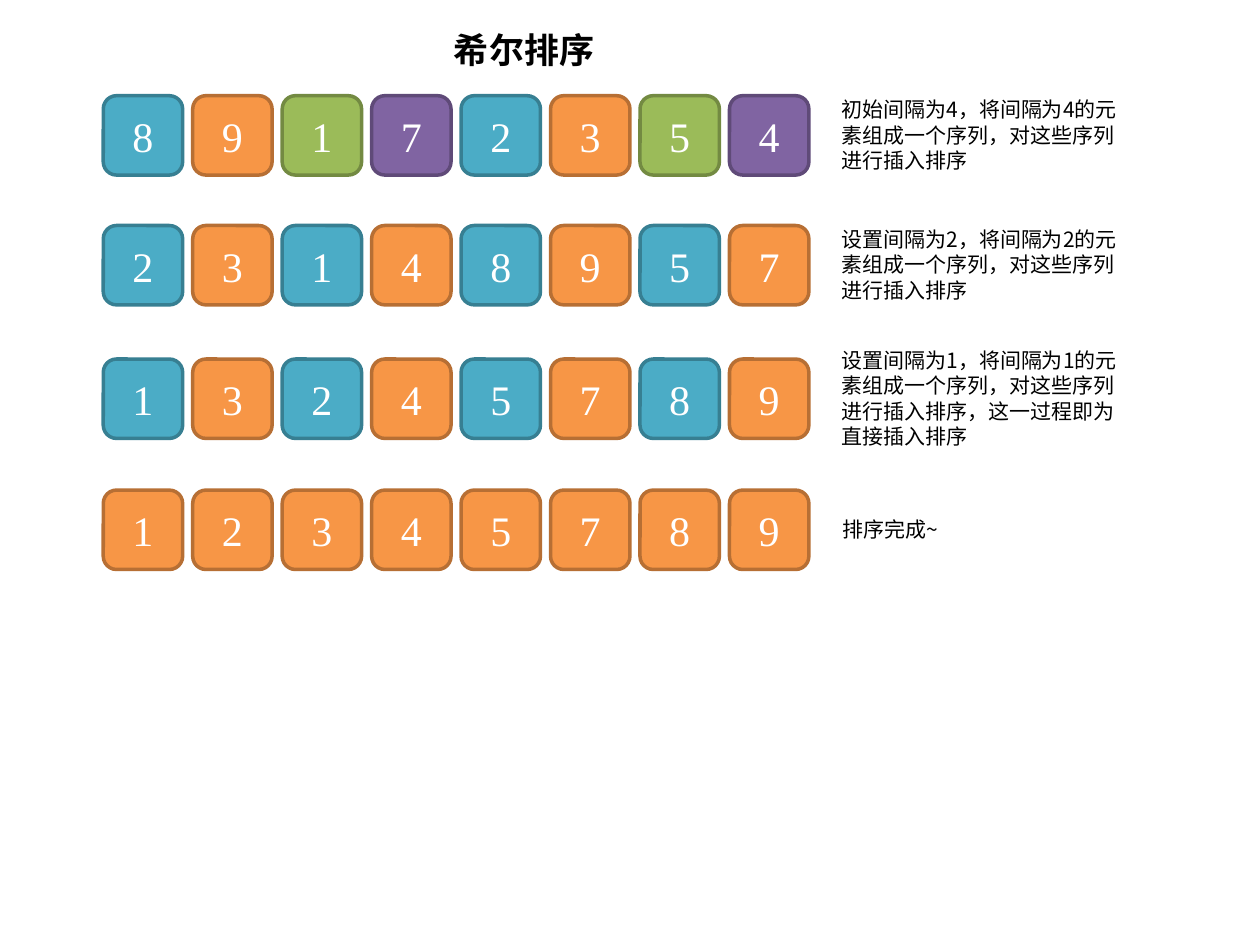
from lxml import etree
from pptx import Presentation
from pptx.dml.color import RGBColor
from pptx.enum.shapes import MSO_SHAPE
from pptx.enum.text import MSO_ANCHOR, MSO_AUTO_SIZE, PP_ALIGN
from pptx.oxml.ns import qn
from pptx.util import Inches, Pt

ROUND = MSO_SHAPE.ROUNDED_RECTANGLE
MIDDLE = MSO_ANCHOR.MIDDLE
GROW = MSO_AUTO_SIZE.SHAPE_TO_FIT_TEXT
LEFT, CENTER = PP_ALIGN.LEFT, PP_ALIGN.CENTER

WHITE = RGBColor(0xFF, 0xFF, 0xFF)
BLACK = RGBColor(0x00, 0x00, 0x00)
BLUE = (RGBColor(0x4B, 0xAC, 0xC6), RGBColor(0x37, 0x7F, 0x92))
ORANGE = (RGBColor(0xF7, 0x96, 0x46), RGBColor(0xB7, 0x6F, 0x34))
GREEN = (RGBColor(0x9B, 0xBB, 0x59), RGBColor(0x73, 0x8A, 0x42))
PURPLE = (RGBColor(0x80, 0x64, 0xA2), RGBColor(0x5F, 0x4A, 0x78))

SANS = "Noto Sans CJK JP"
DIGIT = {"name": "Times New Roman", "size": Pt(24)}
TITLE = {"name": SANS, "size": Pt(20), "bold": True}
NOTE = {"name": SANS, "size": Pt(12)}

SIDE, PITCH = 0.63, 0.71
CELLS_X = 0.82

STEPS = [
    (0.76, "89172354", [BLUE, ORANGE, GREEN, PURPLE], (6.58, 0.72, 2.44, 0.71),
     "初始间隔为4，将间隔为4的元素组成一个序列，对这些序列进行插入排序"),
    (1.79, "23148957", [BLUE, ORANGE], (6.58, 1.75, 2.44, 0.71),
     "设置间隔为2，将间隔为2的元素组成一个序列，对这些序列进行插入排序"),
    (2.85, "13245789", [BLUE, ORANGE], (6.58, 2.71, 2.44, 0.91),
     "设置间隔为1，将间隔为1的元素组成一个序列，对这些序列进行插入排序，这一过程即为直接插入排序"),
    (3.89, "12345789", [ORANGE], (6.59, 4.05, 2.44, 0.3), "排序完成~"),
]


def write(frame, text, style, color, align):
    """Write one styled paragraph into a text frame."""
    para = frame.paragraphs[0]
    para.alignment = align
    run = para.add_run()
    run.text = text
    for key, value in style.items():
        setattr(run.font, key, value)
    run.font.color.rgb = color
    props = run.font._element
    etree.SubElement(props, qn("a:ea")).set("typeface", style["name"])


def add_label(slide, box, text, style, align):
    """Place a wrapping text box in the given box."""
    frame = slide.shapes.add_textbox(*map(Inches, box)).text_frame
    frame.word_wrap = True
    frame.auto_size = GROW
    write(frame, text, style, BLACK, align)


def add_cell(slide, box, digit, paint):
    """Place one rounded array cell in the given box."""
    cell = slide.shapes.add_shape(ROUND, *map(Inches, box))
    cell.shadow.inherit = False
    fill, edge = paint
    cell.fill.solid()
    cell.fill.fore_color.rgb = fill
    cell.line.color.rgb = edge
    cell.line.width = Pt(2)
    cell.text_frame.vertical_anchor = MIDDLE
    write(cell.text_frame, digit, DIGIT, WHITE, CENTER)


def add_row(slide, left, top, digits, paints):
    """Place a row of cells, cycling through the group colours."""
    for i, digit in enumerate(digits):
        box = (left + i * PITCH, top, SIDE, SIDE)
        add_cell(slide, box, digit, paints[i % len(paints)])


def main():
    """Build the Shell sort slide."""
    deck = Presentation()
    deck.slide_width, deck.slide_height = Inches(10), Inches(7.5)
    slide = deck.slides.add_slide(deck.slide_layouts[6])
    add_label(slide, (2.94, 0.18, 2.44, 0.44), "希尔排序", TITLE, CENTER)
    for top, digits, paints, box, note in STEPS:
        add_row(slide, CELLS_X, top, digits, paints)
        add_label(slide, box, note, NOTE, LEFT)
    deck.save("out.pptx")


if __name__ == "__main__":
    main()
